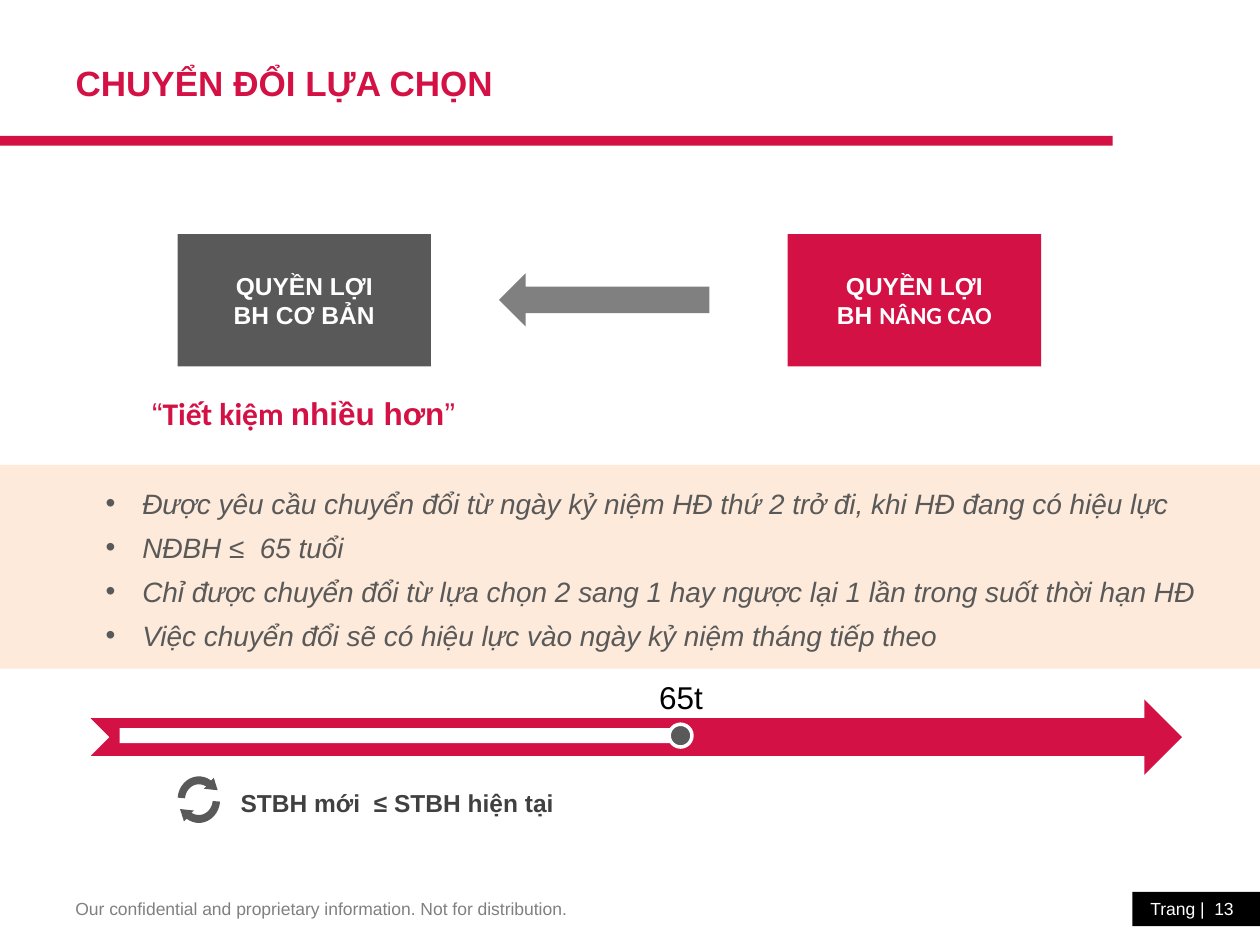
from math import cos, radians, sin

from lxml.etree import SubElement
from pptx import Presentation
from pptx.dml.color import RGBColor
from pptx.enum.shapes import MSO_SHAPE as Preset
from pptx.enum.text import MSO_ANCHOR as Anchor, MSO_AUTO_SIZE as AutoSize, PP_ALIGN as Align
from pptx.oxml.ns import qn
from pptx.util import Cm, Pt

COLORS = {
    "red": "D31145", "dark": "595959", "grey": "808080", "text": "404040",
    "cream": "FDEADA", "white": "FFFFFF", "black": "000000",
}
TITLE = "CHUYỂN ĐỔI LỰA CHỌN"
BENEFITS = [
    (3.58, "dark", [[("QUYỀN LỢI", "Arial")], [("BH CƠ BẢN", "Arial")]]),
    (15.88, "red", [[("QUYỀN LỢI", "Arial")], [("BH ", "Arial"), ("NÂNG CAO", "Calibri")]]),
]
SLOGAN = [("“", "Arial", False), ("Tiết kiệm ", "Calibri", True),
          ("nhiều hơn", "Arial", True), ("”", "Arial", False)]
CONDITIONS = [
    "Được yêu cầu chuyển đổi từ ngày kỷ niệm HĐ thứ 2 trở đi, khi HĐ đang có hiệu lực",
    "NĐBH ≤  65 tuổi",
    "Chỉ được chuyển đổi từ lựa chọn 2 sang 1 hay ngược lại 1 lần trong suốt thời hạn HĐ",
    "Việc chuyển đổi sẽ có hiệu lực vào ngày kỷ niệm tháng tiếp theo",
]
AGE_LIMIT = "65t"
SUM_RULE = "STBH mới  ≤ STBH hiện tại"
CONFIDENTIAL = "Our confidential and proprietary information. Not for distribution."
PAGE = "Trang |  13"
CYCLE_CENTER = (4.01, 16.12)
CYCLE_HEAD = [(0.3, -0.44), (0.38, -0.19), (0.1, -0.22), (0.15, -0.27)]


def rgb(color):
    return RGBColor.from_string(COLORS[color])


def paint(shape, color):
    shape.shadow.inherit = False
    shape.fill.solid()
    shape.fill.fore_color.rgb = rgb(color)
    shape.line.fill.background()
    return shape


def add_block(slide, preset, color, *box):
    return paint(slide.shapes.add_shape(preset, *map(Cm, box)), color)


def add_frame(slide, *box, wrap=True):
    frame = slide.shapes.add_textbox(*map(Cm, box)).text_frame
    frame.word_wrap = wrap
    return frame


def style(font, size, color, name="Arial", bold=False, italic=False):
    font.size, font.name, font.bold, font.italic = Pt(size), name, bold, italic
    font.color.rgb = rgb(color)


def write(paragraph, text, size, color, align=Align.LEFT, **look):
    paragraph.text = text
    paragraph.alignment = align
    style(paragraph.font, size, color, **look)


def add_bullet(paragraph, indent):
    properties = paragraph._p.get_or_add_pPr()
    properties.set("marL", str(Cm(indent)))
    properties.set("indent", str(Cm(-indent)))
    SubElement(properties, qn("a:buFont")).set("typeface", "Arial")
    SubElement(properties, qn("a:buChar")).set("char", "•")


def arc(radius_x, radius_y, angles):
    return [(radius_x * cos(radians(a)), -radius_y * sin(radians(a))) for a in angles]


def add_cycle(slide):
    half = (arc(0.43, 0.47, range(175, 50, -10)) + CYCLE_HEAD
            + arc(0.28, 0.31, range(65, 180, 10)))
    center_x, center_y = CYCLE_CENTER
    for side in (1, -1):
        points = [(Cm(center_x + side * x), Cm(center_y + side * y)) for x, y in half]
        outline = slide.shapes.build_freeform(*points[0])
        outline.add_line_segments(points[1:], close=True)
        paint(outline.convert_to_shape(), "dark")


def add_page_furniture(slide):
    add_block(slide, Preset.RECTANGLE, "red", 0, 2.74, 22.43, 0.2)
    notice = add_frame(slide, 1.27, 17.98, 10.46, 0.69, wrap=False)
    write(notice.paragraphs[0], CONFIDENTIAL, 10, "grey")
    page = add_block(slide, Preset.RECTANGLE, "black", 22.83, 17.98, 2.57, 0.69).text_frame
    page.margin_left, page.margin_right = Cm(0), Cm(0.53)
    write(page.paragraphs[0], PAGE, 10, "white", Align.RIGHT)


def add_title(slide):
    title = slide.shapes.title
    title.left, title.top, title.width, title.height = map(Cm, (1.27, 0.58, 21.36, 2.16))
    title.text_frame.vertical_anchor = Anchor.MIDDLE
    title.text_frame.auto_size = AutoSize.NONE
    write(title.text_frame.paragraphs[0], TITLE, 20, "red", bold=True)


def add_benefits(slide):
    for left, color, lines in BENEFITS:
        frame = add_block(slide, Preset.RECTANGLE, color, left, 4.72, 5.11, 2.67).text_frame
        frame.vertical_anchor = Anchor.MIDDLE
        for index, line in enumerate(lines):
            paragraph = frame.add_paragraph() if index else frame.paragraphs[0]
            paragraph.alignment = Align.CENTER
            for text, name in line:
                run = paragraph.add_run()
                run.text = text
                style(run.font, 14, "white", name, bold=True)
    add_block(slide, Preset.RIGHT_ARROW, "grey", 10.06, 5.51, 4.24, 1.07).rotation = 180
    frame = add_frame(slide, 1.65, 7.82, 8.94, 1.02)
    frame.vertical_anchor = Anchor.MIDDLE
    slogan = frame.paragraphs[0]
    slogan.alignment = Align.CENTER
    for text, name, bold in SLOGAN:
        run = slogan.add_run()
        run.text = text
        style(run.font, 18, "red", name, bold)


def add_conditions(slide):
    add_block(slide, Preset.RECTANGLE, "cream", 0, 9.37, 25.4, 4.11)
    frame = add_frame(slide, 1.88, 9.68, 23.52, 3.63)
    for index, condition in enumerate(CONDITIONS):
        paragraph = frame.add_paragraph() if index else frame.paragraphs[0]
        write(paragraph, condition, 16, "dark", italic=True)
        paragraph.space_before = paragraph.space_after = Pt(3)
        add_bullet(paragraph, 0.74)


def add_timeline(slide):
    add_block(slide, Preset.NOTCHED_RIGHT_ARROW, "red", 1.83, 14.1, 22, 1.52)
    age = add_frame(slide, 13.03, 13.54, 1.4, 1.02, wrap=False)
    write(age.paragraphs[0], AGE_LIMIT, 18, "black", Align.CENTER)
    add_block(slide, Preset.RECTANGLE, "white", 2.41, 14.68, 11.28, 0.3)
    marker = add_block(slide, Preset.OVAL, "dark", 13.49, 14.6, 0.46, 0.46)
    marker.line.color.rgb = rgb("white")
    marker.line.width = Pt(2)
    add_cycle(slide)
    rule = add_frame(slide, 4.6, 15.77, 6.88, 0.86, wrap=False)
    write(rule.paragraphs[0], SUM_RULE, 14, "text", bold=True)


def main():
    """Build the slide on switching between benefit options."""
    deck = Presentation()
    deck.slide_width, deck.slide_height = Cm(25.4), Cm(19.05)
    slide = deck.slides.add_slide(deck.slide_layouts[5])
    for add_part in (add_page_furniture, add_title, add_benefits, add_conditions, add_timeline):
        add_part(slide)
    deck.save("out.pptx")


if __name__ == "__main__":
    main()
